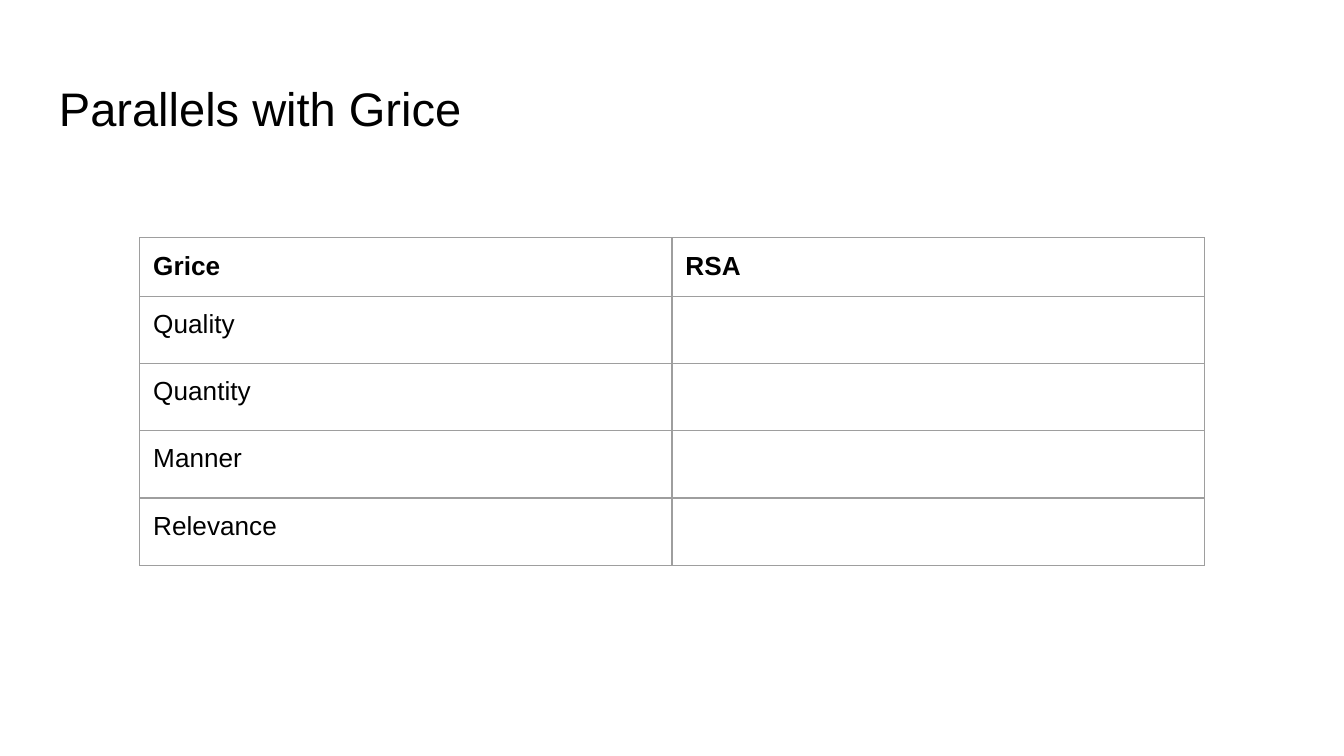
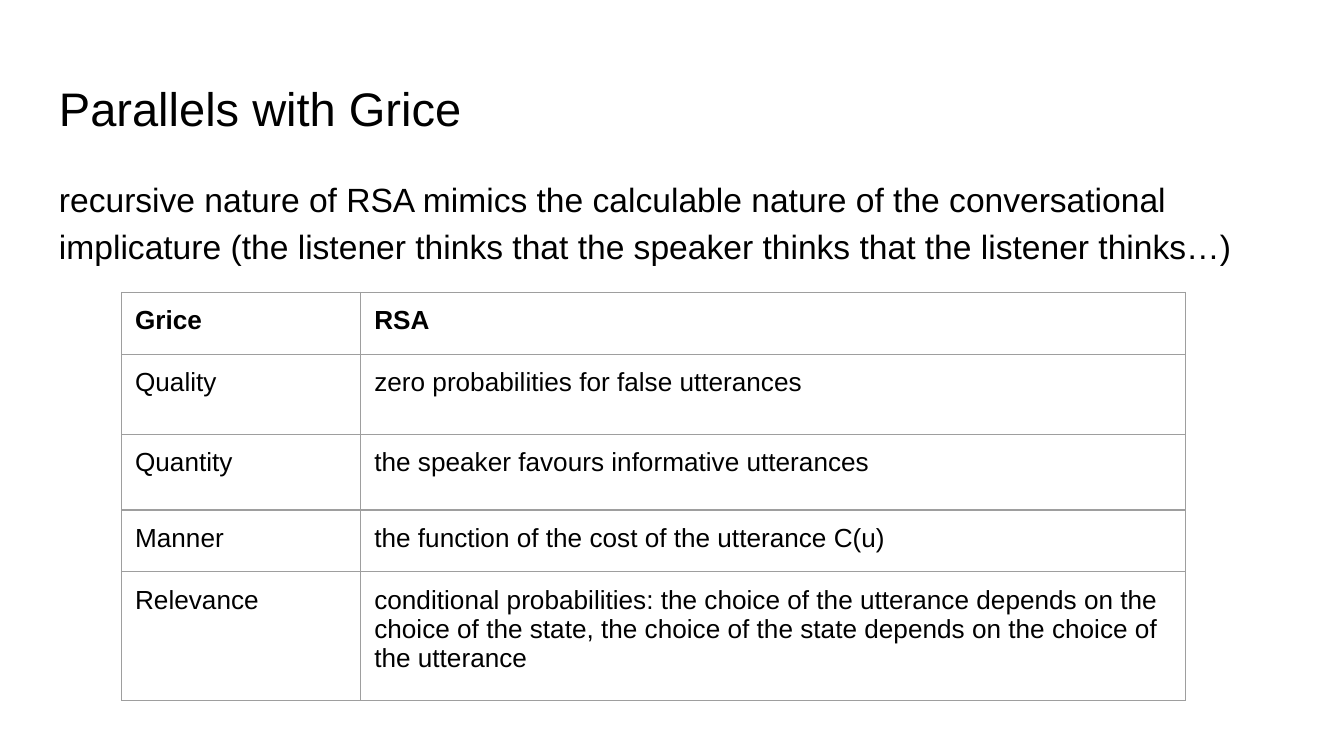
"""Build two slides comparing Gricean maxims with RSA."""
from dataclasses import dataclass

from lxml import etree
from pptx import Presentation
from pptx.dml.color import RGBColor
from pptx.enum.text import MSO_ANCHOR
from pptx.oxml.ns import qn
from pptx.util import Pt

TOP, MIDDLE = MSO_ANCHOR.TOP, MSO_ANCHOR.MIDDLE
PX = 4572
FONT = "Arial"
INK, RULE, PAPER = "000000", "9E9E9E", "FFFFFF"
INSET = 20
BORDER_PT = 0.75
TITLE = "Parallels with Grice"
MAXIMS = ["Quality", "Quantity", "Manner", "Relevance"]


@dataclass(frozen=True)
class TextStyle:
    """Box, size and spacing of a text block."""
    x: int
    y: int
    w: int
    h: int
    size: float
    spacing: float
    anchor: MSO_ANCHOR


@dataclass(frozen=True)
class GriceTable:
    """Place, grid and RSA column of a comparison table."""
    x: int
    y: int
    cols: list[int]
    rows: list[int]
    rsa: list[str]


TITLE_STYLE = TextStyle(68, 97, 1864, 126, 25.2, 1.0, MIDDLE)
BODY_STYLE = TextStyle(68, 238, 1864, 748, 18, 1.15, TOP)

EMPTY_TABLE = GriceTable(208, 354, [792, 792], [84] * 5, [""] * 4)
FILLED_TABLE = GriceTable(181, 435, [356, 1227], [92, 120, 112, 92, 192], [
    "zero probabilities for false utterances",
    "the speaker favours informative utterances",
    "the function of the cost of the utterance C(u)",
    "conditional probabilities: the choice of the utterance depends on the "
    "choice of the state, the choice of the state depends on the choice of the utterance",
])
BODY = ("recursive nature of RSA mimics the calculable nature of the conversational "
        "implicature (the listener thinks that the speaker thinks that the listener thinks…)")


def px(n: int) -> int:
    """Turn px into EMU."""
    return n * PX


def color(code: str) -> RGBColor:
    """Turn a hex string into a colour."""
    return RGBColor.from_string(code)


def set_insets(obj) -> None:
    """Give a text frame or cell equal margins."""
    obj.margin_left = obj.margin_right = px(INSET)
    obj.margin_top = obj.margin_bottom = px(INSET)


def add_run(p, text: str, size: float, bold: bool = False) -> None:
    """Add one formatted run to a paragraph."""
    r = p.add_run()
    r.text = text
    r.font.name = FONT
    r.font.size = Pt(size)
    r.font.bold = bold
    r.font.color.rgb = color(INK)


def add_text(s, text: str, style: TextStyle) -> None:
    """Draw a wrapped text block."""
    sp = s.shapes.add_textbox(px(style.x), px(style.y), px(style.w), px(style.h))
    tf = sp.text_frame
    tf.word_wrap = True
    tf.vertical_anchor = style.anchor
    set_insets(tf)
    p = tf.paragraphs[0]
    p.line_spacing = style.spacing
    add_run(p, text, style.size)


def add_borders(cell) -> None:
    """Rule all four sides of a cell."""
    tc_pr = cell._tc.get_or_add_tcPr()
    for side in ("lnL", "lnR", "lnT", "lnB"):
        ln = etree.SubElement(tc_pr, qn(f"a:{side}"), w=str(Pt(BORDER_PT)))
        fill = etree.SubElement(ln, qn("a:solidFill"))
        etree.SubElement(fill, qn("a:srgbClr"), val=RULE)


def add_grice_table(s, spec: GriceTable) -> None:
    """Draw a table of maxims and their RSA parallels."""
    content = [("Grice", "RSA"), *zip(MAXIMS, spec.rsa)]
    frame = s.shapes.add_table(len(content), len(spec.cols), px(spec.x), px(spec.y),
                               px(sum(spec.cols)), px(sum(spec.rows)))
    table = frame.table
    table.first_row = table.horz_banding = False
    for column, width in zip(table.columns, spec.cols):
        column.width = px(width)
    for i, (height, texts) in enumerate(zip(spec.rows, content)):
        table.rows[i].height = px(height)
        for j, text in enumerate(texts):
            cell = table.cell(i, j)
            set_insets(cell)
            add_borders(cell)
            cell.fill.background()
            if text:
                add_run(cell.text_frame.paragraphs[0], text, 14, bold=i == 0)


def add_titled_slide(prs):
    """Add a blank slide with the shared background and title."""
    s = prs.slides.add_slide(prs.slide_layouts[6])
    s.background.fill.solid()
    s.background.fill.fore_color.rgb = color(PAPER)
    add_text(s, TITLE, TITLE_STYLE)
    return s


def main() -> None:
    """Build and save the presentation."""
    prs = Presentation()
    prs.slide_width, prs.slide_height = px(2000), px(1125)
    s = add_titled_slide(prs)
    add_grice_table(s, EMPTY_TABLE)
    s = add_titled_slide(prs)
    add_text(s, BODY, BODY_STYLE)
    add_grice_table(s, FILLED_TABLE)
    prs.save("out.pptx")


if __name__ == "__main__":
    main()
